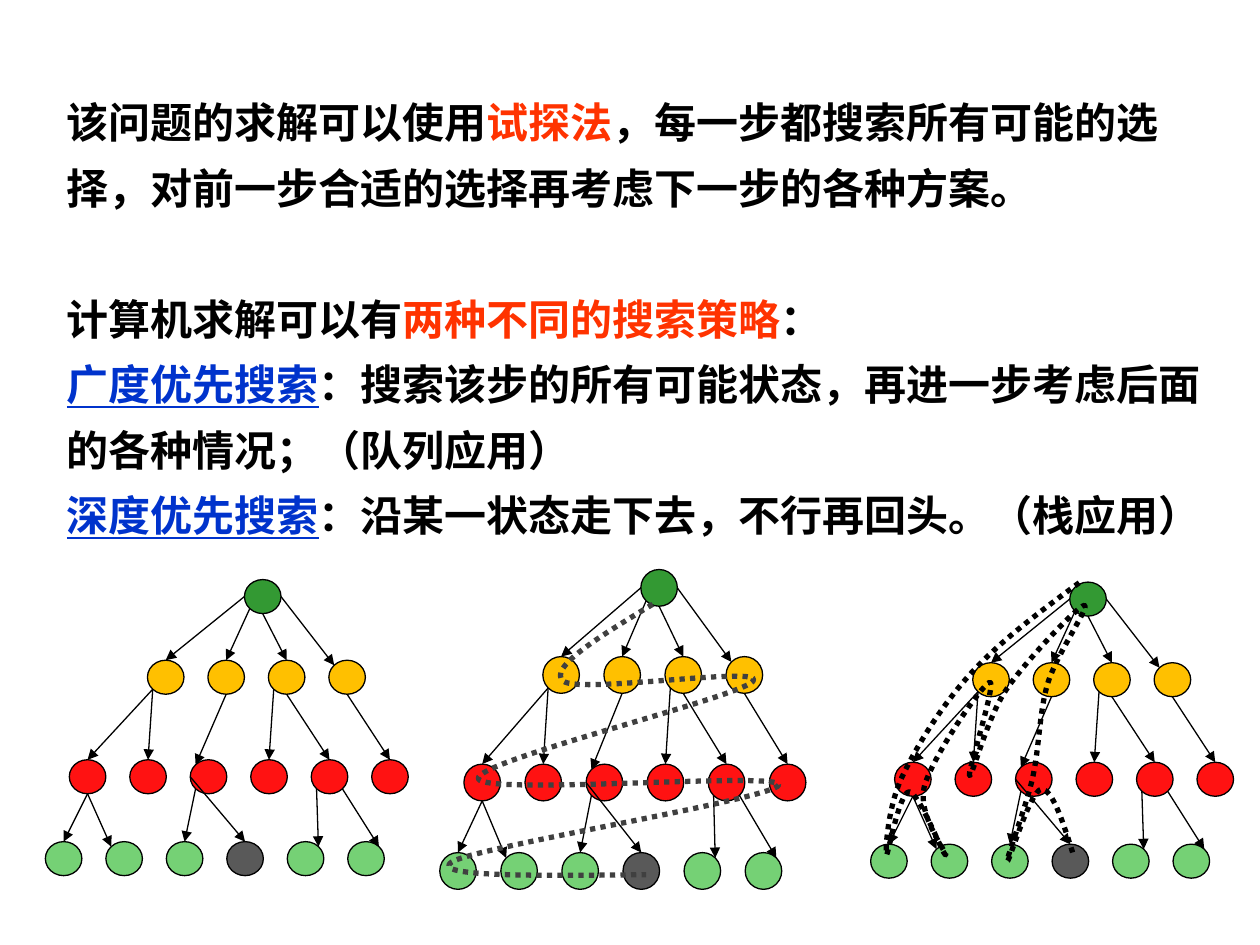
"""Build a slide that explains breadth-first and depth-first search with three trees."""
from dataclasses import dataclass
from math import sqrt

from lxml import etree
from pptx import Presentation
from pptx.dml.color import RGBColor
from pptx.enum import dml, shapes, text
from pptx.oxml import ns
from pptx.util import Inches, Pt


@dataclass(frozen=True)
class Theme:
    font: str = "Noto Sans CJK SC"
    size: float = 24
    gap: float = 37.4
    thin: float = 0.75
    thick: float = 3
    ink: str = "000000"
    hot: str = "FF3300"
    term: str = "0033CC"
    root: str = "339933"
    gold: str = "FFC000"
    red: str = "FF1212"
    leaf: str = "75D175"
    goal: str = "595959"
    wide: str = "404040"


theme = Theme()


def write(para, words, color=theme.ink, under=False):
    run = para.add_run()
    run.text = words
    font = run.font
    font.name, font.size, font.bold = theme.font, Pt(theme.size), True
    font.underline = under
    font.color.rgb = RGBColor.from_string(color)
    etree.SubElement(font._element, ns.qn("a:ea"), typeface=theme.font)


def stroke(line, color, width):
    line.color.rgb = RGBColor.from_string(color)
    line.width = Pt(width)


deck = Presentation()
deck.slide_width, deck.slide_height = Inches(10), Inches(7.5)
slide = deck.slides.add_slide(deck.slide_layouts[1])
title = slide.shapes.title._element
title.getparent().remove(title)

body = slide.placeholders[1]
body.left, body.top = Inches(0.43), Inches(0.6)
body.width, body.height = Inches(9.45), Inches(3.74)
frame = body.text_frame
frame.word_wrap = True
frame.auto_size = text.MSO_AUTO_SIZE.NONE

hot = {"color": theme.hot}
term = {"color": theme.term, "under": True}
copy = [
    (0, [("该问题的求解可以使用", {}), ("试探法", hot),
         ("，每一步都搜索所有可能的选择，对前一步合适的选择再考虑下一步的各种方案。", {})]),
    (theme.gap, [("计算机求解可以有", {}), ("两种不同的搜索策略", hot), ("：", {})]),
    (0, [("广度优先搜索", term),
         ("：搜索该步的所有可能状态，再进一步考虑后面的各种情况；（队列应用）", {})]),
    (0, [("深度优先搜索", term), ("：沿某一状态走下去，不行再回头。（栈应用）", {})]),
]
for i, (space, runs) in enumerate(copy):
    para = frame.add_paragraph() if i else frame.paragraphs[0]
    para.line_spacing = 1.3
    para.space_before, para.space_after = Pt(space), Pt(0)
    props = para._p.get_or_add_pPr()
    for key in ("marL", "indent", "hangingPunct"):
        props.set(key, "0")
    etree.SubElement(props, ns.qn("a:buNone"))
    for words, style in runs:
        write(para, words, **style)

step, node_w, node_h = 0.48, 0.29, 0.27
rows = [
    ("A", 1.58, 0, theme.root),
    ("BCDE", 0.81, 0.64, theme.gold),
    ("FGHIJK", 0.19, 1.43, theme.red),
    ("LMNOPQ", 0, 2.08, theme.leaf),
]
goal = "O"

diag = sqrt(0.5)
sides = {
    "n": (0, -1), "s": (0, 1), "w": (-1, 0), "e": (1, 0),
    "nw": (-diag, -diag), "ne": (diag, -diag),
    "sw": (-diag, diag), "se": (diag, diag),
}
links = {
    "A": "w B n, sw C n, s D n, e E nw",
    "B": "sw F n, sw G n",
    "C": "s H nw",
    "D": "sw I n, s J n",
    "E": "s K n",
    "F": "s L n, s M nw",
    "H": "sw N n, w O n",
    "J": "sw P ne, se Q ne",
}

breadth = "ABEFKLO"
breadth_shift = [(-0.05, 0.13), (0.02, 0.05), (0.07, 0.05), (-0.03, -0.03),
                 (-0.07, 0.02), (-0.05, -0.07), (0.04, 0.03)]
depth = "ABFLFMFBGBACHNHO"
depth_shift = [(-0.07, -0.13), (-0.16, -0.05), (-0.09, -0.01), (-0.02, -0.05),
               (-0.03, 0.1), (-0.03, -0.05), (0.09, 0.06), (-0.01, 0.02),
               (-0.03, -0.03), (0.12, 0.08), (-0.03, 0.05), (-0.03, 0.03),
               (-0.01, -0.01), (-0.02, 0), (0.06, 0.08), (0.03, -0.03)]

trees = [
    (0.36, 4.6, 1, 1, "", [], theme.ink),
    (3.49, 4.52, 1.01, 1.08, breadth, breadth_shift, theme.wide),
    (6.91, 4.62, 1, 1, depth, depth_shift, theme.ink),
]
for left, top, wide, high, visits, shifts, color in trees:
    tree = slide.shapes.add_group_shape().shapes
    half_w, half_h = node_w / 2, node_h * high / 2
    spots = {}
    for names, start, drop, fill in rows:
        for i, name in enumerate(names):
            x, y = left + (start + i * step) * wide, top + drop * high
            spots[name] = x + half_w, y + half_h
            node = tree.add_shape(shapes.MSO_SHAPE.OVAL, Inches(x), Inches(y),
                                  Inches(node_w), Inches(half_h * 2))
            node.shadow.inherit = False
            node.fill.solid()
            shade = theme.goal if name == goal else fill
            node.fill.fore_color.rgb = RGBColor.from_string(shade)
            stroke(node.line, theme.ink, theme.thin)

    for parent, kids in links.items():
        for link in kids.split(", "):
            out, kid, into = link.split()
            ends = []
            for name, side in ((parent, out), (kid, into)):
                (x, y), (dx, dy) = spots[name], sides[side]
                ends += [Inches(x + dx * half_w), Inches(y + dy * half_h)]
            edge = tree.add_connector(shapes.MSO_CONNECTOR.STRAIGHT, *ends)
            stroke(edge.line, theme.ink, theme.thin)
            etree.SubElement(edge.line._get_or_add_ln(), ns.qn("a:tailEnd"), type="triangle")
            etree.SubElement(edge._element.spPr, ns.qn("a:effectLst"))

    if visits:
        stops = [(Inches(spots[name][0] + dx), Inches(spots[name][1] + dy))
                 for name, (dx, dy) in zip(visits, shifts)]
        last = len(stops) - 1
        slopes = [[(b - a) / 6 for a, b in zip(stops[i - 1], stops[i + 1])]
                  for i in range(1, last)]
        pen = tree.build_freeform(*stops[0])
        for i in range(last):
            here, there = stops[i], stops[i + 1]
            if i > 0:
                first = [p + s for p, s in zip(here, slopes[i - 1])]
            if i + 1 < last:
                second = [p - s for p, s in zip(there, slopes[i])]
            else:
                second = [(a + b) / 2 for a, b in zip(first, there)]
            if i == 0:
                first = [(a + b) / 2 for a, b in zip(here, second)]
            pen.add_line_segments([first, second, there], close=False)
        trail = pen.convert_to_shape()
        trail.shadow.inherit = False
        trail.fill.background()
        stroke(trail.line, color, theme.thick)
        trail.line.dash_style = dml.MSO_LINE.ROUND_DOT
        track = trail._element.find(".//" + ns.qn("a:path"))
        legs = track.findall(ns.qn("a:lnTo"))
        for i in range(0, len(legs), 3):
            curve = etree.SubElement(track, ns.qn("a:cubicBezTo"))
            for leg in legs[i:i + 3]:
                curve.append(leg[0])
                track.remove(leg)

deck.save("out.pptx")
